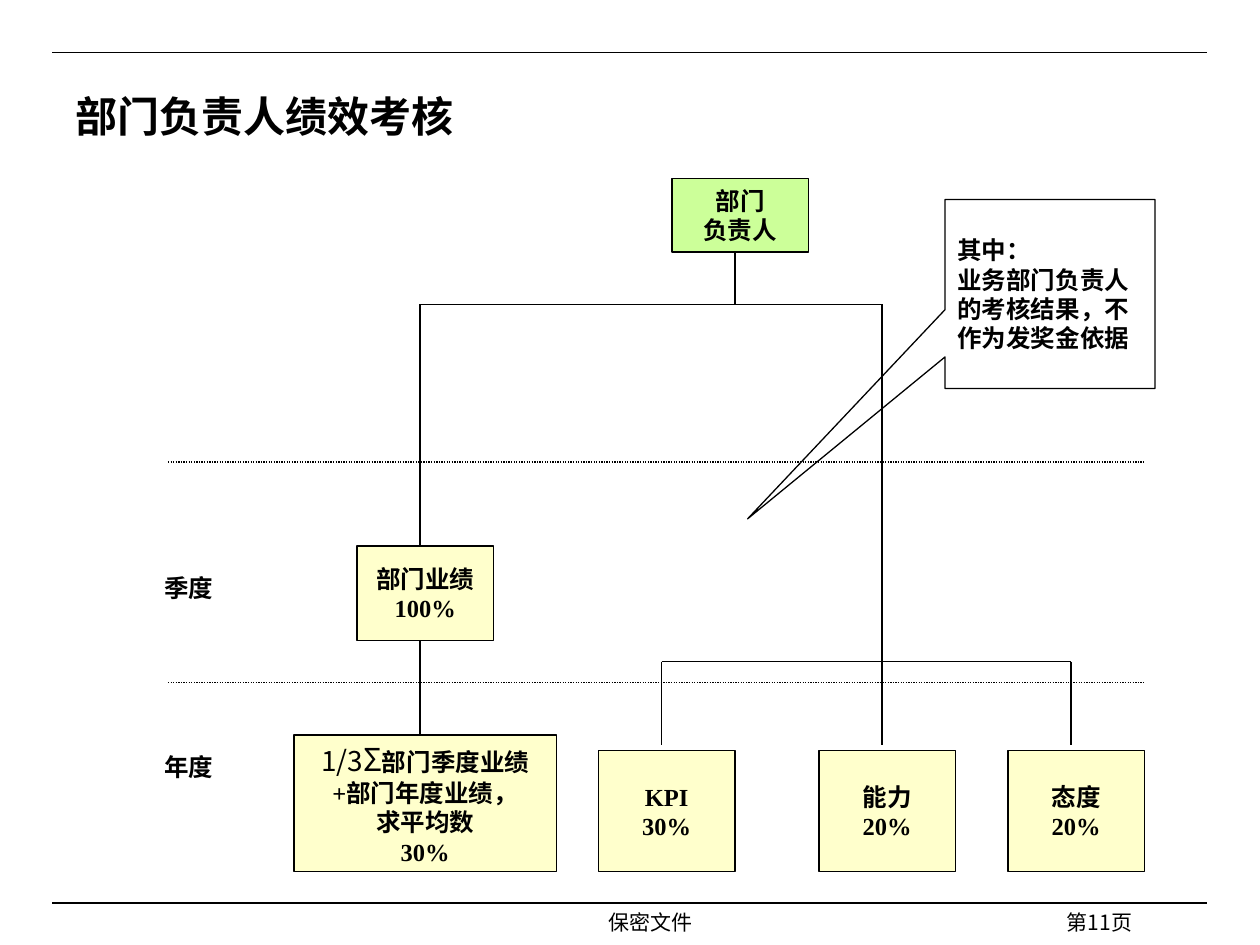
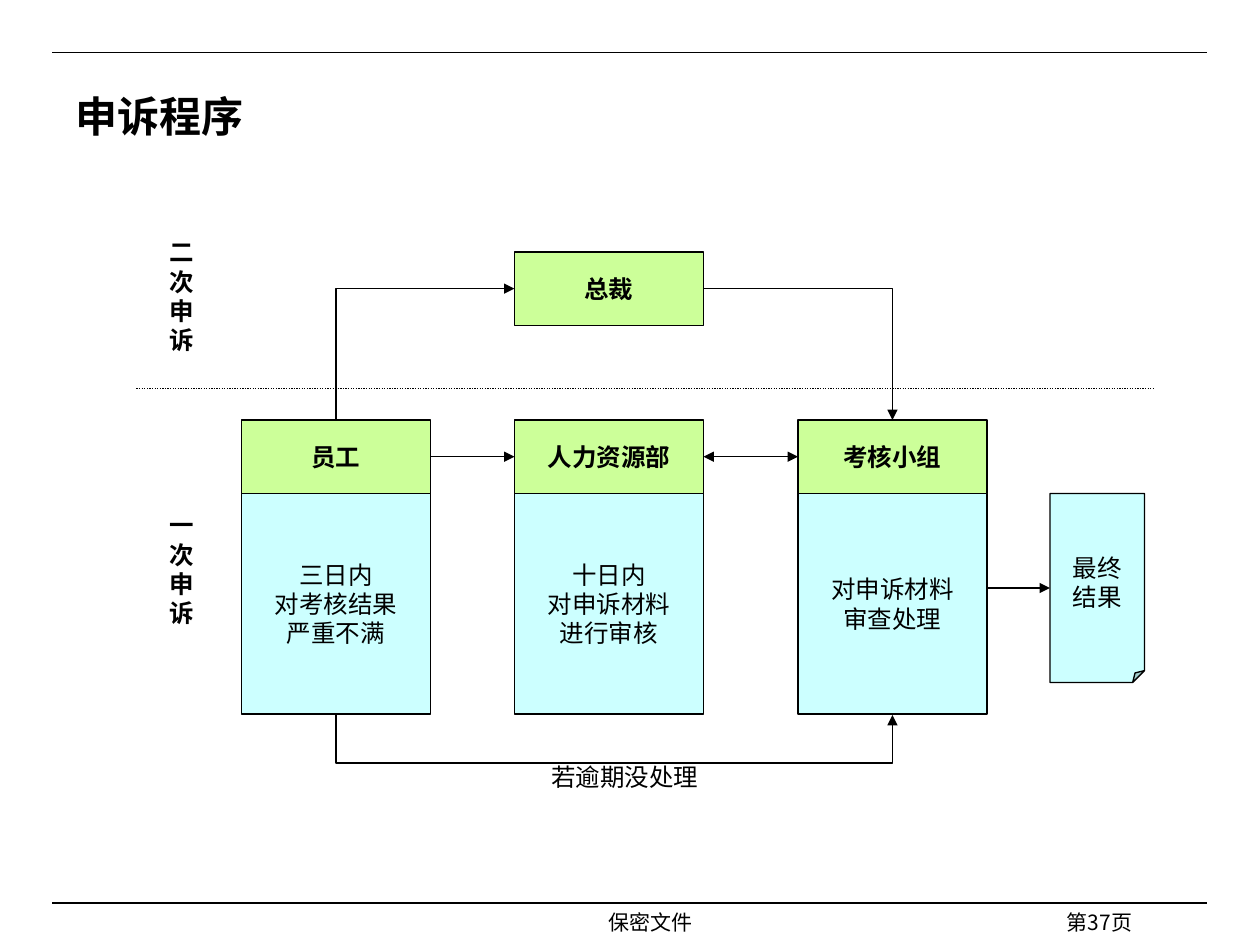
from dataclasses import dataclass

from lxml import etree
from pptx import Presentation
from pptx.dml.color import RGBColor
from pptx.enum.dml import MSO_LINE
from pptx.enum.shapes import MSO_CONNECTOR, MSO_SHAPE
from pptx.enum.text import MSO_ANCHOR, PP_ALIGN
from pptx.oxml.ns import qn
from pptx.util import Emu, Pt

RECTANGLE = MSO_SHAPE.RECTANGLE
CALLOUT = MSO_SHAPE.RECTANGULAR_CALLOUT
FOLDED = MSO_SHAPE.FOLDED_CORNER
STRAIGHT, BENT = MSO_CONNECTOR.STRAIGHT, MSO_CONNECTOR.ELBOW
DOTTED = MSO_LINE.ROUND_DOT
LEFT, CENTER, RIGHT = PP_ALIGN.LEFT, PP_ALIGN.CENTER, PP_ALIGN.RIGHT
TOP, MIDDLE = MSO_ANCHOR.TOP, MSO_ANCHOR.MIDDLE
LEFT_SIDE, RIGHT_SIDE = 1, 3
EMU_PER_PX = 7620


@dataclass(frozen=True)
class Theme:
    """Colours, fonts and type sizes of the deck."""
    ink: str = "000000"
    green: str = "CCFF99"
    yellow: str = "FFFFCC"
    cyan: str = "CCFFFF"
    serif: str = "Times New Roman"
    sans: str = "Noto Sans CJK SC"
    title: int = 24
    sigma: int = 18
    fraction: int = 16
    body: int = 14
    footer: int = 12
    stroke: float = 0.75


THEME = Theme()


@dataclass(frozen=True)
class Style:
    """Look of one run of text."""
    size: int = THEME.body
    font: str = THEME.serif
    bold: bool = True


STRONG = Style()
PLAIN = Style(font=THEME.sans, bold=False)
FOOTER = Style(THEME.footer, THEME.sans, False)


@dataclass(frozen=True)
class Box:
    """Rectangle in px."""
    left: int
    top: int
    width: int
    height: int

    def inner(self, left, top, width, height):
        """Return a box measured from this box's corner."""
        return Box(self.left + left, self.top + top, width, height)

    def point(self, x, y):
        """Return a point measured from this box's corner."""
        return self.left + x, self.top + y

    def emu(self):
        """Return the four lengths in EMU."""
        return [px(n) for n in (self.left, self.top, self.width, self.height)]


PAGE = Box(0, 0, 1200, 900)


def px(length):
    """Turn px into EMU."""
    return Emu(int(length * EMU_PER_PX))


def write(shape, lines, style, align, anchor, wrap=True):
    """Fill a shape with paragraphs; a line is a string or a list of styled runs."""
    frame = shape.text_frame
    frame.word_wrap = wrap
    frame.vertical_anchor = anchor
    for index, line in enumerate(lines):
        para = frame.paragraphs[0] if index == 0 else frame.add_paragraph()
        para.alignment = align
        runs = [(line, style)] if isinstance(line, str) else line
        for text, look in runs:
            span = para.add_run()
            span.text = text
            span.font.size = Pt(look.size)
            span.font.bold = look.bold
            span.font.name = look.font
            span.font.color.rgb = RGBColor.from_string(THEME.ink)
            east = etree.SubElement(span.font._element, qn("a:ea"))
            east.set("typeface", THEME.sans)


def add_label(page, box, text, style=STRONG, align=CENTER, anchor=TOP):
    """Add a text box of one paragraph."""
    write(page.shapes.add_textbox(*box.emu()), [text], style, align, anchor)


def add_card(page, box, lines, fill=None, style=STRONG, kind=RECTANGLE,
             align=CENTER, wrap=True):
    """Add an outlined shape with text and return it."""
    card = page.shapes.add_shape(kind, *box.emu())
    card.shadow.inherit = False
    if fill:
        card.fill.solid()
        card.fill.fore_color.rgb = RGBColor.from_string(fill)
    else:
        card.fill.background()
    ink_line(card)
    write(card, lines, style, align, MIDDLE, wrap)
    return card


def ink_line(shape):
    """Give a shape the common thin line."""
    shape.line.width = Pt(THEME.stroke)
    shape.line.color.rgb = RGBColor.from_string(THEME.ink)


def set_guides(shape, **ratios):
    """Replace the adjustment guides of a preset geometry."""
    guides = shape._element.spPr.find(qn("a:prstGeom")).get_or_add_avLst()
    for guide in list(guides):
        guides.remove(guide)
    for name, ratio in ratios.items():
        guide = etree.SubElement(guides, qn("a:gd"))
        guide.set("name", name)
        guide.set("fmla", f"val {round(ratio * 100000)}")


def add_line(page, begin, end, dotted=False, heads=(), kind=STRAIGHT):
    """Add a connector; heads lists headEnd and tailEnd as needed."""
    line = page.shapes.add_connector(kind, *map(px, begin + end))
    ink_line(line)
    if dotted:
        line.line.dash_style = DOTTED
    outline = line.line._get_or_add_ln()
    for head in heads:
        etree.SubElement(outline, qn(f"a:{head}")).set("type", "triangle")
    etree.SubElement(line._element.spPr, qn("a:effectLst"))
    return line


def add_elbow(page, begin, end, preset, quarters=0, **ratios):
    """Add a bent arrow whose frame is turned by quarter turns about its centre."""
    center_x, center_y = (begin[0] + end[0]) / 2, (begin[1] + end[1]) / 2
    x, y = begin[0] - center_x, begin[1] - center_y
    for _ in range(quarters):
        x, y = y, -x
    elbow = add_line(page, (center_x + x, center_y + y),
                     (center_x - x, center_y - y), heads=["tailEnd"], kind=BENT)
    properties = elbow._element.spPr
    if quarters:
        properties.find(qn("a:xfrm")).set("rot", str(quarters * 5400000))
    properties.find(qn("a:prstGeom")).set("prst", preset)
    set_guides(elbow, **ratios)


def add_page(deck, title, number):
    """Add a blank slide with rules, footer and title."""
    page = deck.slides.add_slide(deck.slide_layouts[6])
    for y in (50, 860):
        add_line(page, PAGE.point(50, y), PAGE.point(1150, y))
    add_label(page, PAGE.inner(350, 860, 540, 30), "保密文件", FOOTER)
    add_label(page, PAGE.inner(840, 860, 250, 20), f"第{number}页", FOOTER, RIGHT)
    add_label(page, PAGE.inner(60, 70, 1070, 80), title,
              Style(THEME.title), LEFT, MIDDLE)
    return page


def draw_review_tree(page, area):
    """Draw the tree of review weights by quarter and year."""
    trunk, result, factor = 600, 300, 740
    factors = {470: ("KPI", "30%"), 680: ("能力", "20%"), 860: ("态度", "20%")}
    drops = [left + 60 for left in factors]
    branches = [
        ((trunk, 70), (trunk, 120)),
        ((result, 120), (factor, 120)),
        ((result, 120), (result, 530)),
        ((factor, 120), (factor, 460)),
        ((drops[0], 460), (drops[-1], 460)),
    ] + [((x, 460), (x, 540)) for x in drops]
    for begin, end in branches:
        add_line(page, area.point(*begin), area.point(*end))
    for y in (270, 480):
        add_line(page, area.point(60, y), area.point(990, y), dotted=True)
    for y, period in ((370, "季度"), (540, "年度")):
        add_label(page, area.inner(10, y, 140, 41), period)

    add_card(page, area.inner(540, 0, 130, 70), ["部门", "负责人"], THEME.green)
    add_card(page, area.inner(240, 350, 130, 90), ["部门业绩", "100%"], THEME.yellow)
    average = [("1/3", Style(THEME.fraction, THEME.sans, False)),
               ("Σ", Style(THEME.sigma, THEME.sans, False)),
               ("部门季度业绩", STRONG)]
    add_card(page, area.inner(180, 530, 250, 130),
             [average, "+部门年度业绩，", "求平均数", "30%"], THEME.yellow)
    for left, lines in factors.items():
        add_card(page, area.inner(left, 545, 130, 115), lines, THEME.yellow)
    note = add_card(page, area.inner(800, 20, 200, 180),
                    ["其中：", "业务部门负责人的考核结果，不作为发奖金依据"],
                    kind=CALLOUT, align=LEFT)
    set_guides(note, adj1=-1.44, adj2=1.19)


def draw_appeal_flow(page, area):
    """Draw the first and second appeal with their arrows."""
    parties = [
        (100, "员工", ["三日内", "对考核结果", "严重不满"]),
        (360, "人力资源部", ["十日内", "对申诉材料", "进行审核"]),
        (630, "考核小组", ["对申诉材料", "审查处理"]),
    ]
    heads = []
    for left, name, duty in parties:
        add_card(page, area.inner(left, 250, 180, 210), duty, THEME.cyan, PLAIN,
                 wrap=False)
        heads.append(add_card(page, area.inner(left, 180, 180, 70), [name],
                              THEME.green, wrap=False))
    add_card(page, area.inner(360, 20, 180, 70), ["总裁"], THEME.green, wrap=False)
    verdict = add_card(page, area.inner(870, 250, 90, 180), ["最终", "结果"],
                       THEME.cyan, PLAIN, FOLDED, wrap=False)
    set_guides(verdict, adj=0.125)

    employee, group = 190, 720
    add_elbow(page, area.point(employee, 460), area.point(group, 461),
              "bentConnector3", 3, adj1=47)
    add_elbow(page, area.point(employee, 180), area.point(360, 55),
              "bentConnector2", 1)
    add_elbow(page, area.point(540, 55), area.point(group, 180), "bentConnector2")
    arrowheads = (["tailEnd"], ["headEnd", "tailEnd"])
    for giver, taker, ends in zip(heads, heads[1:], arrowheads):
        arrow = add_line(page, area.point(0, 215), area.point(10, 215), heads=ends)
        arrow.begin_connect(giver, RIGHT_SIDE)
        arrow.end_connect(taker, LEFT_SIDE)
    arrow = add_line(page, area.point(810, 340), area.point(870, 340),
                     heads=["tailEnd"])
    arrow.end_connect(verdict, LEFT_SIDE)

    add_line(page, area.point(0, 150), area.point(970, 150), dotted=True)
    for y, stage in ((0, "二次申诉"), (260, "一次申诉")):
        add_label(page, area.inner(20, y, 50, 125), stage, align=LEFT)
    add_label(page, area.inner(330, 500, 270, 41), "若逾期没处理",
              Style(bold=False))


def main():
    """Build and save the deck."""
    deck = Presentation()
    deck.slide_width, deck.slide_height = px(PAGE.width), px(PAGE.height)
    draw_review_tree(add_page(deck, "部门负责人绩效考核", 11),
                     PAGE.inner(100, 170, 1000, 660))
    draw_appeal_flow(add_page(deck, "申诉程序", 37),
                     PAGE.inner(130, 220, 970, 541))
    deck.save("out.pptx")


if __name__ == "__main__":
    main()
